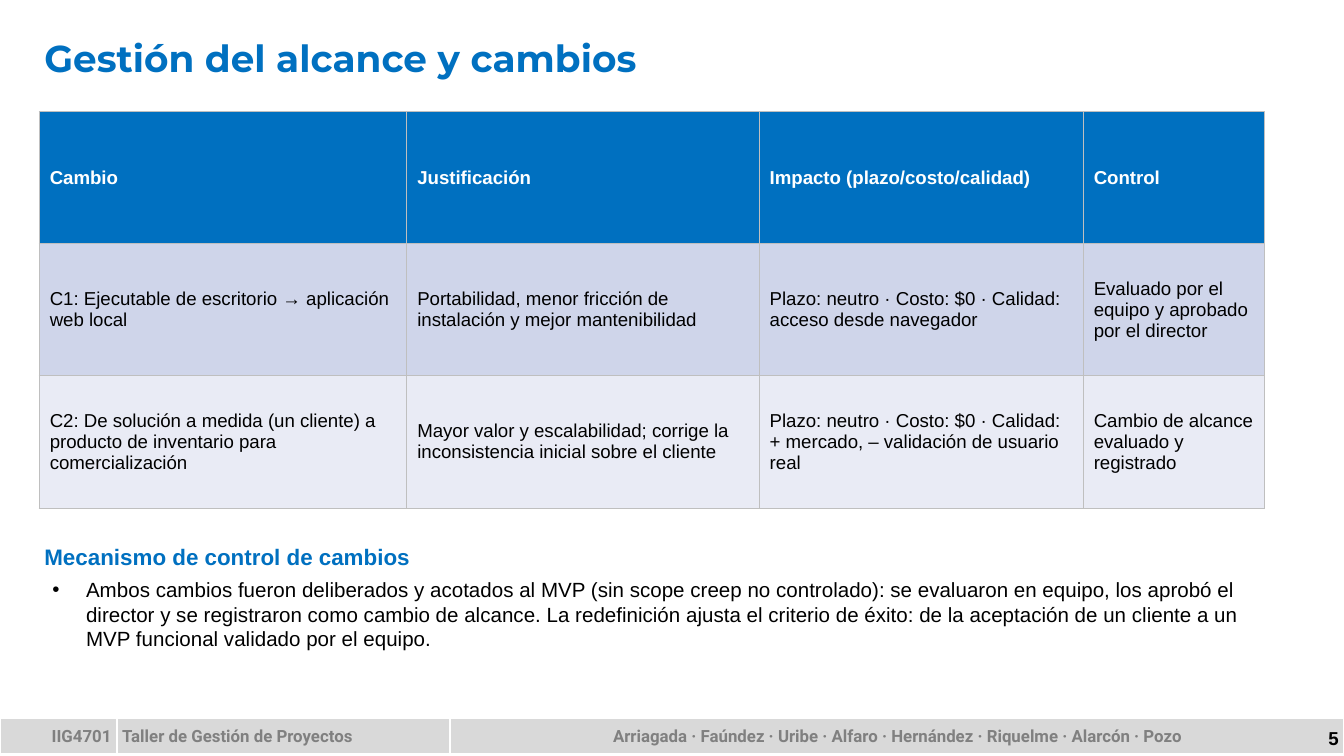
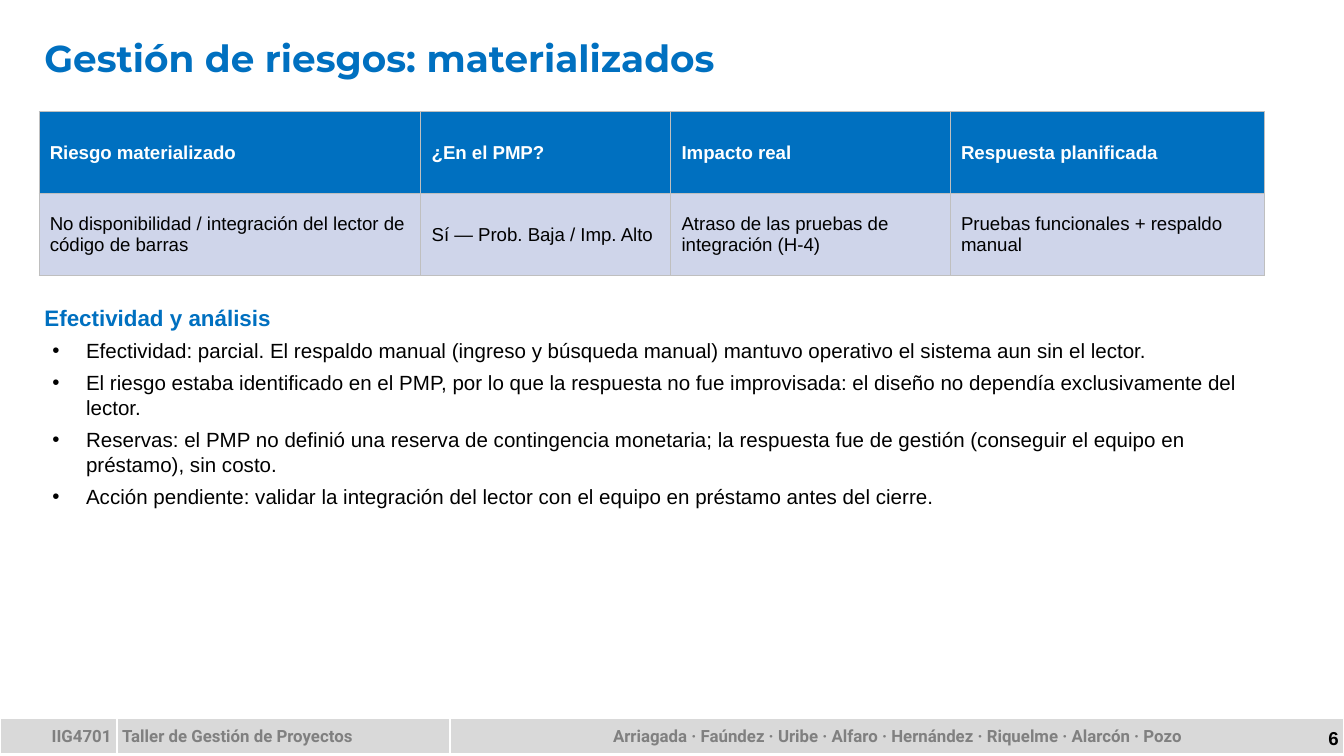
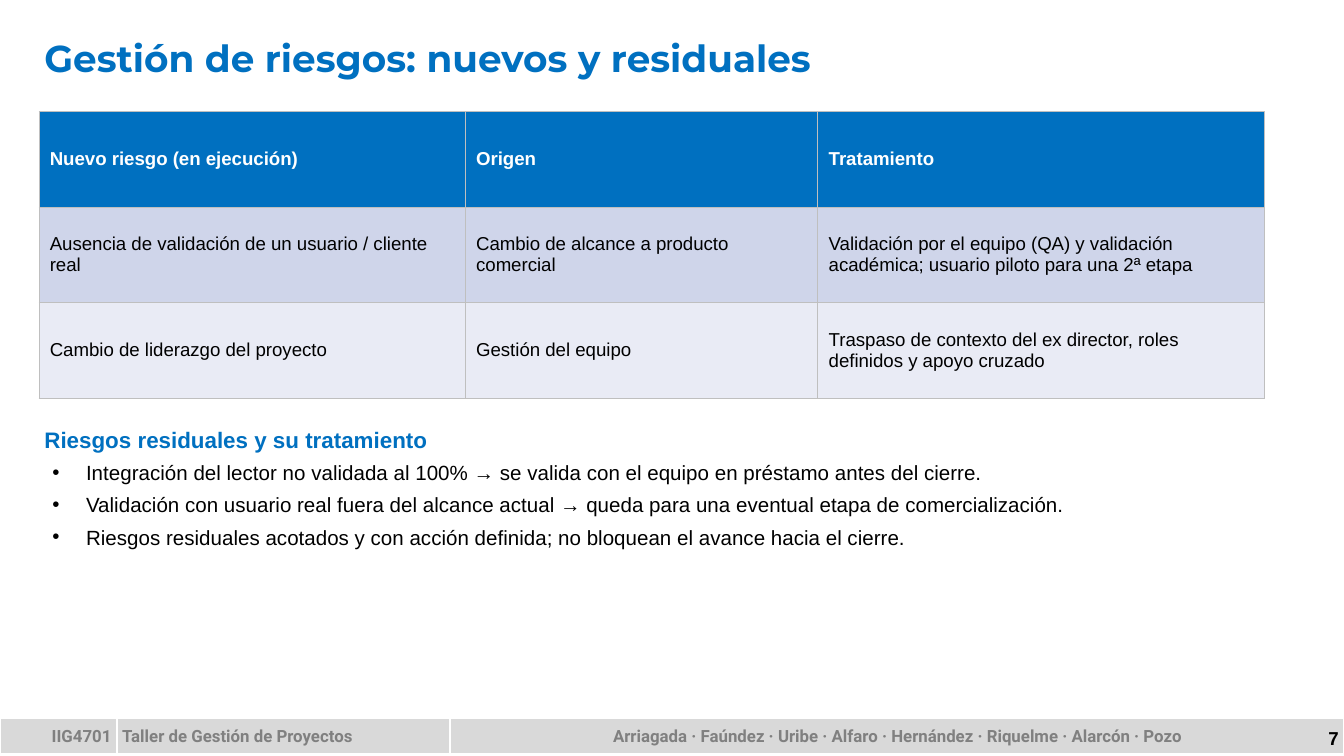
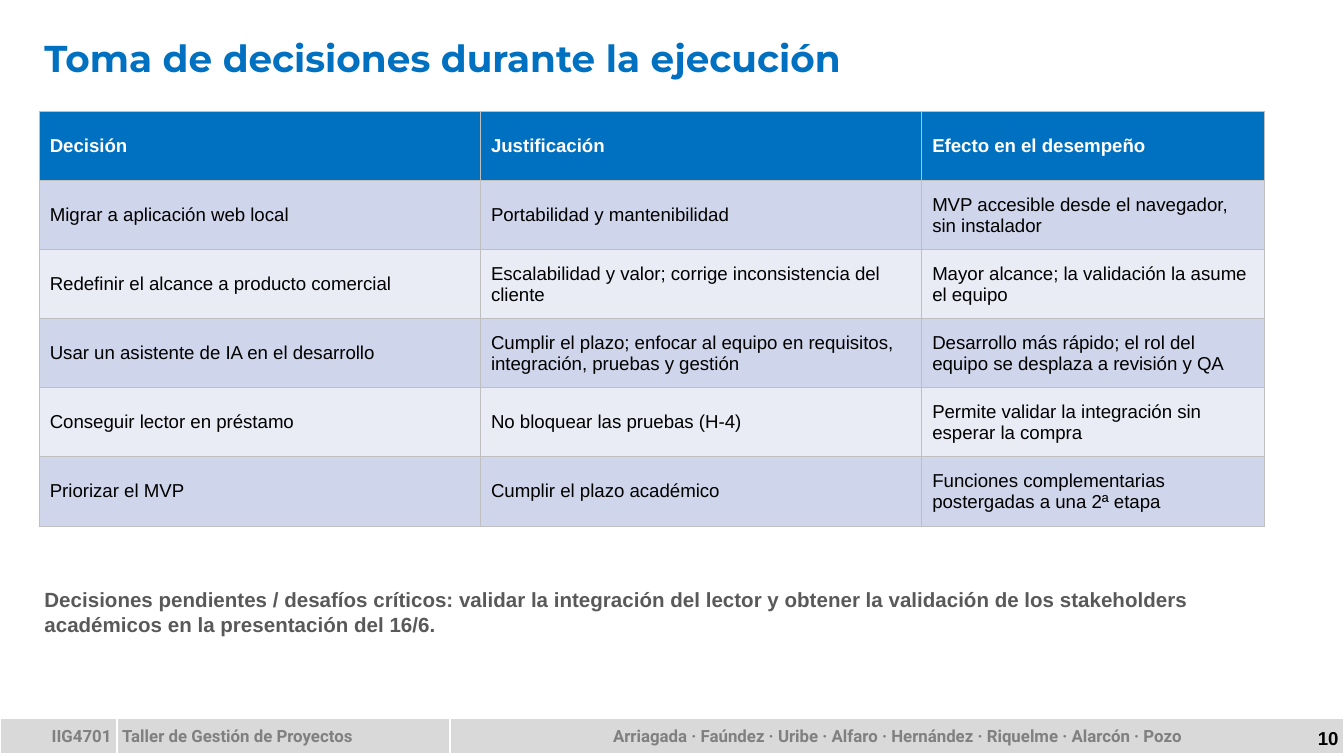
from dataclasses import dataclass

from lxml import etree
from pptx import Presentation
from pptx import util as u
from pptx.dml.color import RGBColor
from pptx.enum import text as t
from pptx.oxml.ns import qn

Pt = u.Pt
LEFT, RIGHT, MID = t.PP_ALIGN.LEFT, t.PP_ALIGN.RIGHT, t.PP_ALIGN.CENTER


# Colours, fonts and type sizes
@dataclass(frozen=True)
class Theme:
    blue: str = "0070C0"
    white: str = "FFFFFF"
    black: str = "000000"
    dark: str = "595959"
    gray: str = "808080"
    band: str = "D9D9D9"
    rule: str = "BFBFBF"
    odd: str = "CFD5EA"
    even: str = "E9EBF5"
    font: str = "Arial"
    display: str = "Montserrat"
    label: str = "Roboto"
    title: int = 20
    head: int = 12
    body: int = 11
    cell: int = 10
    foot: int = 9


TH = Theme()
WIDE, HIGH = 720, 405
EDGE, SPAN = 20.9, 656.6      # left edge and width of the content
TOP = 59.8                    # top of each main table
FOOT = ["IIG4701", "Taller de Gestión de Proyectos",
        "Arriagada · Faúndez · Uribe · Alfaro · Hernández · Riquelme · Alarcón · Pozo"]


# Text
def write(par, words, size=TH.body, color=TH.black, bold=False,
          font=TH.font, align=LEFT, before=0, bullet=False):
    """Fill one paragraph and set its format."""
    par.alignment = align
    par.space_before = Pt(before)
    props = par._p.get_or_add_pPr()
    props.set("marL", str(Pt(22.3) if bullet else 0))
    props.set("indent", str(Pt(-18) if bullet else 0))
    if bullet:
        etree.SubElement(props, qn("a:buFont")).set("typeface", TH.font)
        etree.SubElement(props, qn("a:buChar")).set("char", "•")
    else:
        etree.SubElement(props, qn("a:buNone"))
    run = par.add_run()
    run.text = words
    run.font.size, run.font.bold, run.font.name = Pt(size), bold, font
    run.font.color.rgb = RGBColor.from_string(color)


def inset(box, side, ends):
    """Set the margins of a text frame or a cell."""
    box.margin_left = box.margin_right = Pt(side)
    box.margin_top = box.margin_bottom = Pt(ends)


def place(shape, top, height, ends):
    """Move a placeholder into the content column and return its frame."""
    shape.left, shape.top = Pt(EDGE), Pt(top)
    shape.width, shape.height = Pt(SPAN), Pt(height)
    frame = shape.text_frame
    frame.word_wrap = True
    frame.auto_size = t.MSO_AUTO_SIZE.NONE
    frame.vertical_anchor = t.MSO_ANCHOR.TOP
    inset(frame, 2.9, ends)
    return frame


# Tables
def border(cell, color, width, base=None):
    """Draw the four sides of a cell; base is the width of the lower one."""
    props = cell._tc.get_or_add_tcPr()
    for spot, side in enumerate(("lnL", "lnR", "lnT", "lnB")):
        size = base if base and side == "lnB" else width
        line = etree.Element(qn("a:" + side), w=str(Pt(size)))
        fill = etree.SubElement(line, qn("a:solidFill"))
        etree.SubElement(fill, qn("a:srgbClr")).set("val", color)
        props.insert(spot, line)


def grid(slide, at, cols, rows, height):
    """Add a plain table with equal rows and return it."""
    left, top = at
    table = slide.shapes.add_table(
        rows, len(cols), Pt(left), Pt(top), Pt(sum(cols)), Pt(rows * height)).table
    table.first_row = table.horz_banding = False
    for col, width in zip(table.columns, cols):
        col.width = Pt(width)
    for row in table.rows:
        row.height = Pt(height)
    return table


def fill(cell, words, back, side, ends, **form):
    """Put text on a coloured cell."""
    cell.fill.solid()
    cell.fill.fore_color.rgb = RGBColor.from_string(back)
    cell.vertical_anchor = t.MSO_ANCHOR.MIDDLE
    inset(cell, side, ends)
    write(cell.text_frame.paragraphs[0], words, **form)


def matrix(slide, cols, height, data):
    """Add the main table: a blue head row, then banded rows."""
    table = grid(slide, (EDGE, TOP), cols, len(data), height)
    for r, line in enumerate(data):
        head = r == 0
        back = TH.blue if head else TH.odd if r % 2 else TH.even
        for c, words in enumerate(line):
            cell = table.cell(r, c)
            fill(cell, words, back, 5.8, 1.4, size=TH.cell, bold=head,
                 color=TH.white if head else TH.black)
            border(cell, TH.rule, 0.5)


# Shared slide parts
def footer(slide, page):
    """Add the gray band and the page number."""
    table = grid(slide, (0, 384.7), [62.6, 178.6, 478.8], 1, 20.2)
    for c, (words, align) in enumerate(zip(FOOT, (RIGHT, LEFT, MID))):
        cell = table.cell(0, c)
        fill(cell, words, TH.band, 2.9, 0, size=TH.foot, color=TH.gray,
             bold=True, font=TH.label, align=align)
        border(cell, TH.white, 1, base=3)
    frame = slide.shapes.add_textbox(Pt(696), Pt(385.4), Pt(24), Pt(20)).text_frame
    frame.word_wrap = False
    frame.auto_size = t.MSO_AUTO_SIZE.SHAPE_TO_FIT_TEXT
    frame.vertical_anchor = t.MSO_ANCHOR.MIDDLE
    inset(frame, 2.9, 2.9)
    write(frame.paragraphs[0], str(page), size=TH.cell, bold=True, align=RIGHT)


def start(deck, title, page):
    """Add a slide with its title and footer."""
    slide = deck.slides.add_slide(deck.slide_layouts[1])
    footer(slide, page)
    frame = place(slide.shapes.title, 18.7, 34, 0)
    write(frame.paragraphs[0], title, size=TH.title, color=TH.blue,
          bold=True, font=TH.display)
    return slide


def points(slide, top, height, head, items):
    """Fill the body with a heading and a bullet list."""
    frame = place(slide.placeholders[1], top, height, 1.4)
    write(frame.paragraphs[0], head, size=TH.head, color=TH.blue, bold=True)
    for item in items:
        write(frame.add_paragraph(), item, before=4, bullet=True)


def remark(slide, top, height, words):
    """Fill the body with one bold closing remark."""
    frame = place(slide.placeholders[1], top, height, 1.4)
    write(frame.paragraphs[0], words, color=TH.dark, bold=True)


# Slides
def scope(deck):
    slide = start(deck, "Gestión del alcance y cambios", 5)
    matrix(slide, [196.9, 188.8, 173.6, 97.3], 70.8, [
        ["Cambio", "Justificación", "Impacto (plazo/costo/calidad)", "Control"],
        ["C1: Ejecutable de escritorio → aplicación web local",
         "Portabilidad, menor fricción de instalación y mejor mantenibilidad",
         "Plazo: neutro · Costo: $0 · Calidad: acceso desde navegador",
         "Evaluado por el equipo y aprobado por el director"],
        ["C2: De solución a medida (un cliente) a producto de inventario para "
         "comercialización",
         "Mayor valor y escalabilidad; corrige la inconsistencia inicial sobre el cliente",
         "Plazo: neutro · Costo: $0 · Calidad: + mercado, – validación de usuario real",
         "Cambio de alcance evaluado y registrado"],
    ])
    points(slide, 289.4, 86.4, "Mecanismo de control de cambios", [
        "Ambos cambios fueron deliberados y acotados al MVP (sin scope creep no "
        "controlado): se evaluaron en equipo, los aprobó el director y se registraron "
        "como cambio de alcance. La redefinición ajusta el criterio de éxito: de la "
        "aceptación de un cliente a un MVP funcional validado por el equipo.",
    ])


def risks(deck):
    slide = start(deck, "Gestión de riesgos: materializados", 6)
    matrix(slide, [204.6, 133.9, 149.7, 168.4], 44, [
        ["Riesgo materializado", "¿En el PMP?", "Impacto real", "Respuesta planificada"],
        ["No disponibilidad / integración del lector de código de barras",
         "Sí — Prob. Baja / Imp. Alto",
         "Atraso de las pruebas de integración (H-4)",
         "Pruebas funcionales + respaldo manual"],
    ])
    points(slide, 161.3, 208.8, "Efectividad y análisis", [
        "Efectividad: parcial. El respaldo manual (ingreso y búsqueda manual) mantuvo "
        "operativo el sistema aun sin el lector.",
        "El riesgo estaba identificado en el PMP, por lo que la respuesta no fue "
        "improvisada: el diseño no dependía exclusivamente del lector.",
        "Reservas: el PMP no definió una reserva de contingencia monetaria; la "
        "respuesta fue de gestión (conseguir el equipo en préstamo), sin costo.",
        "Acción pendiente: validar la integración del lector con el equipo en "
        "préstamo antes del cierre.",
    ])


def residual(deck):
    slide = start(deck, "Gestión de riesgos: nuevos y residuales", 7)
    matrix(slide, [228.4, 188.9, 239.3], 51.2, [
        ["Nuevo riesgo (en ejecución)", "Origen", "Tratamiento"],
        ["Ausencia de validación de un usuario / cliente real",
         "Cambio de alcance a producto comercial",
         "Validación por el equipo (QA) y validación académica; usuario piloto para "
         "una 2ª etapa"],
        ["Cambio de liderazgo del proyecto", "Gestión del equipo",
         "Traspaso de contexto del ex director, roles definidos y apoyo cruzado"],
    ])
    points(slide, 226.8, 145.4, "Riesgos residuales y su tratamiento", [
        "Integración del lector no validada al 100% → se valida con el equipo en "
        "préstamo antes del cierre.",
        "Validación con usuario real fuera del alcance actual → queda para una "
        "eventual etapa de comercialización.",
        "Riesgos residuales acotados y con acción definida; no bloquean el avance "
        "hacia el cierre.",
    ])


def choices(deck):
    slide = start(deck, "Toma de decisiones durante la ejecución", 10)
    matrix(slide, [236.4, 236.4, 183.8], 37, [
        ["Decisión", "Justificación", "Efecto en el desempeño"],
        ["Migrar a aplicación web local", "Portabilidad y mantenibilidad",
         "MVP accesible desde el navegador, sin instalador"],
        ["Redefinir el alcance a producto comercial",
         "Escalabilidad y valor; corrige inconsistencia del cliente",
         "Mayor alcance; la validación la asume el equipo"],
        ["Usar un asistente de IA en el desarrollo",
         "Cumplir el plazo; enfocar al equipo en requisitos, integración, pruebas y "
         "gestión",
         "Desarrollo más rápido; el rol del equipo se desplaza a revisión y QA"],
        ["Conseguir lector en préstamo", "No bloquear las pruebas (H-4)",
         "Permite validar la integración sin esperar la compra"],
        ["Priorizar el MVP", "Cumplir el plazo académico",
         "Funciones complementarias postergadas a una 2ª etapa"],
    ])
    remark(slide, 313.2, 59.8,
           "Decisiones pendientes / desafíos críticos: validar la integración del "
           "lector y obtener la validación de los stakeholders académicos en la "
           "presentación del 16/6.")


def main():
    deck = Presentation()
    deck.slide_width, deck.slide_height = Pt(WIDE), Pt(HIGH)
    for build in (scope, risks, residual, choices):
        build(deck)
    deck.save("out.pptx")


if __name__ == "__main__":
    main()
